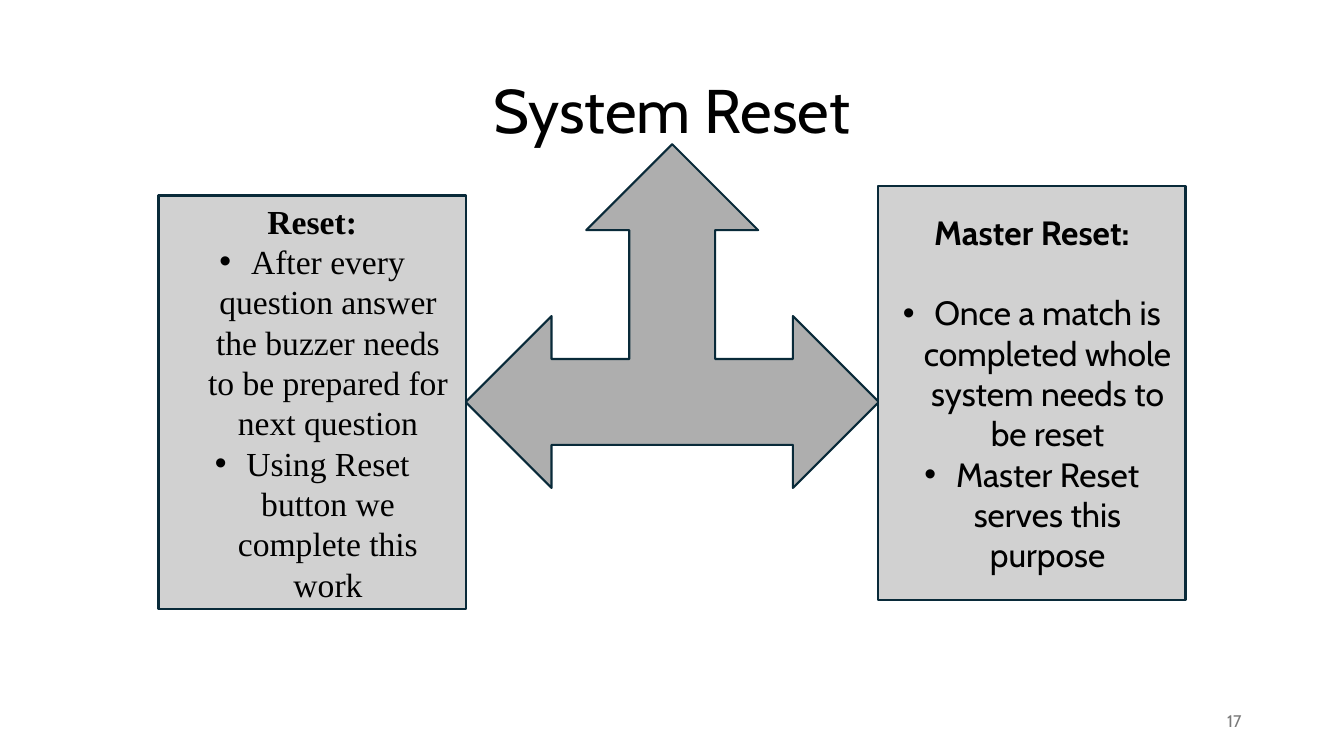
from pptx import Presentation
from pptx.dml.color import RGBColor
from pptx.enum.shapes import MSO_SHAPE as SHAPE
from pptx.enum.text import MSO_ANCHOR as ANCHOR, PP_ALIGN as ALIGN
from pptx.oxml.ns import qn
from pptx.util import Pt
from lxml.etree import SubElement

BLACK = RGBColor(0x00, 0x00, 0x00)
ARROW_GRAY = RGBColor(0xAE, 0xAE, 0xAE)
BOX_GRAY = RGBColor(0xD1, 0xD1, 0xD1)
NUMBER_GRAY = RGBColor(0x79, 0x79, 0x79)
NAVY = RGBColor(0x09, 0x2A, 0x39)
INDENT = Pt(22.5)
LINE = Pt(28.8)


def add_block(kind, left, top, width, height, fill):
    sp = s.shapes.add_shape(kind, Pt(left), Pt(top), Pt(width), Pt(height))
    sp.shadow.inherit = False
    sp.fill.solid()
    sp.fill.fore_color.rgb = fill
    sp.line.color.rgb = NAVY
    sp.line.width = Pt(1.5)
    return sp


def style(p, align, size, font, color, bold=False):
    p.alignment = align
    for r in p.runs:
        r.font.size = Pt(size)
        r.font.name = font
        r.font.color.rgb = color
        r.font.bold = bold


prs = Presentation()
prs.slide_width, prs.slide_height = Pt(960), Pt(540)
s = prs.slides.add_slide(prs.slide_layouts[5])

title = s.shapes.title
title.left, title.top, title.width, title.height = Pt(66), Pt(28.75), Pt(828), Pt(104.4)
tf = title.text_frame
tf.text = "System Reset"
tf.vertical_anchor = ANCHOR.MIDDLE
tf.paragraphs[0].line_spacing = 0.9
style(tf.paragraphs[0], ALIGN.CENTER, 44, "Cabin", BLACK)

add_block(SHAPE.LEFT_RIGHT_UP_ARROW, 332.6, 103, 295.2, 245.5, ARROW_GRAY)

boxes = [
    (113.2, 139.7, "Times New Roman", 0, "Reset:", [
        "After every question answer the buzzer needs to be prepared for next question",
        "Using Reset button we complete this work"]),
    (627.2, 133.2, "Cabin", LINE, "Master Reset:", [
        "Once a match is completed whole system needs to be reset",
        "Master Reset serves this purpose"]),
]
for left, top, font, gap, heading, items in boxes:
    tf = add_block(SHAPE.RECTANGLE, left, top, 219.6, 295.2, BOX_GRAY).text_frame
    tf.word_wrap = True
    tf.vertical_anchor = ANCHOR.MIDDLE
    tf.text = "\n".join([heading] + items)
    for i, p in enumerate(tf.paragraphs):
        p.line_spacing = LINE
        if i == 0:
            p.space_after = gap
        else:
            pPr = p._p.get_or_add_pPr()
            pPr.set("marL", str(INDENT))
            pPr.set("indent", str(-INDENT))
            SubElement(pPr, qn("a:buFont"), typeface="Arial")
            SubElement(pPr, qn("a:buChar"), char="•")
        style(p, ALIGN.CENTER, 24, font, BLACK, bold=i == 0)

number = s.shapes.add_textbox(Pt(678), Pt(500.5), Pt(216), Pt(28.75))
tf = number.text_frame
tf.word_wrap = True
tf.vertical_anchor = ANCHOR.MIDDLE
tf.text = "17"
style(tf.paragraphs[0], ALIGN.RIGHT, 12, "Cabin", NUMBER_GRAY)

prs.save("out.pptx")
